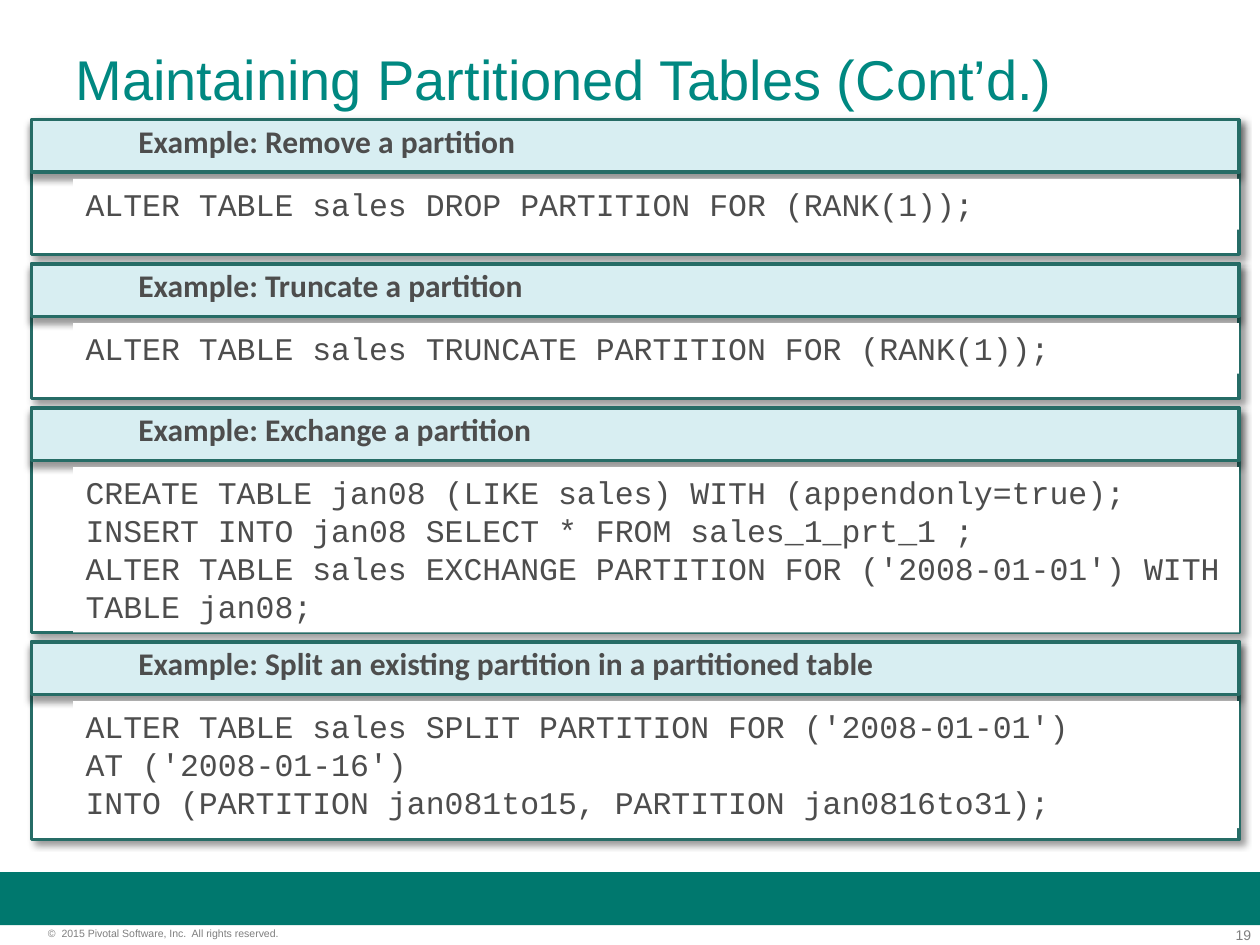
from dataclasses import dataclass

from lxml.etree import SubElement
from pptx import Presentation
from pptx.dml.color import RGBColor
from pptx.enum.shapes import MSO_SHAPE as Shape
from pptx.enum.text import MSO_ANCHOR as Anchor, MSO_AUTO_SIZE as AutoSize, PP_ALIGN as Align
from pptx.oxml.ns import qn
from pptx.util import Pt

WHITE = RGBColor(0xFF, 0xFF, 0xFF)
BAND = RGBColor(0x00, 0x78, 0x6E)
TEAL = RGBColor(0x00, 0x88, 0x81)
BORDER = RGBColor(0x26, 0x6C, 0x66)
HEADER_FILL = RGBColor(0xD8, 0xEE, 0xF2)
DARK_GREY = RGBColor(0x4D, 0x4D, 0x4D)
FOOTER_GREY = RGBColor(0x7F, 0x7F, 0x7F)

LEFT, WIDTH = 18, 690
HEADER_HEIGHT = 30
FIRST_TOP, GAP = 68.4, 5.4
CODE_LEFT, CODE_OFFSET = 41.8, 33.8
LINE_HEIGHT, CODE_PADDING = 21.8, 7.2


@dataclass
class Example:
    heading: str
    heading_width: float
    code: str
    shown_lines: int
    height: float


EXAMPLES = [
    Example("Example: Remove a partition", 232,
            "ALTER TABLE sales DROP PARTITION FOR (RANK(1));", 1, 77),
    Example("Example: Truncate a partition", 236,
            "ALTER TABLE sales TRUNCATE PARTITION FOR (RANK(1));", 1, 77),
    Example("Example: Exchange a partition", 241,
            "CREATE TABLE jan08 (LIKE sales) WITH (appendonly=true);\n"
            "INSERT INTO jan08 SELECT * FROM sales_1_prt_1 ;\n"
            "ALTER TABLE sales EXCHANGE PARTITION FOR ('2008-01-01') WITH TABLE jan08;",
            4, 128.2),
    Example("Example: Split an existing partition in a partitioned table", 440,
            "ALTER TABLE sales SPLIT PARTITION FOR ('2008-01-01')\n"
            "AT ('2008-01-16')\n"
            "INTO (PARTITION jan081to15, PARTITION jan0816to31);", 3, 113),
]


def write(box, text: str, *, size: float, font: str, color: RGBColor, bold: bool = False,
          align=Align.LEFT, wrap: bool = True, inset: bool = True) -> None:
    frame = box.text_frame
    frame.text = text
    frame.word_wrap = wrap
    frame.auto_size = AutoSize.NONE
    frame.vertical_anchor = Anchor.TOP
    if not inset:
        frame.margin_left = frame.margin_right = frame.margin_top = frame.margin_bottom = 0
    for para in frame.paragraphs:
        para.alignment = align
        for span in para.runs:
            span.font.size = Pt(size)
            span.font.name = font
            span.font.bold = bold
            span.font.color.rgb = color


def add_shadow(box, degrees: int) -> None:
    effects = box._element.spPr.find(qn("a:effectLst"))
    shadow = SubElement(effects, qn("a:outerShdw"), blurRad=str(Pt(4)), dist=str(Pt(3)),
                        dir=str(degrees * 60000), algn="tl", rotWithShape="0")
    color = SubElement(shadow, qn("a:srgbClr"), val="000000")
    SubElement(color, qn("a:alpha"), val="40000")


def add_rectangle(shapes, left: float, top: float, width: float, height: float,
                  fill: RGBColor, shadow_degrees: int | None = None):
    """Plain rectangle; with a shadow angle it also gets the teal border."""
    box = shapes.add_shape(Shape.RECTANGLE, Pt(left), Pt(top), Pt(width), Pt(height))
    box.shadow.inherit = False
    box.fill.solid()
    box.fill.fore_color.rgb = fill
    if shadow_degrees is None:
        box.line.fill.background()
    else:
        box.line.color.rgb = BORDER
        box.line.width = Pt(2)
        add_shadow(box, shadow_degrees)
    return box


def add_text(shapes, left: float, top: float, width: float, height: float, text: str,
             **style) -> None:
    write(shapes.add_textbox(Pt(left), Pt(top), Pt(width), Pt(height)), text, **style)


def add_example(page, example: Example, top: float) -> None:
    shapes = page.shapes.add_group_shape().shapes
    add_rectangle(shapes, LEFT, top, WIDTH, example.height, WHITE, 45)
    add_rectangle(shapes, LEFT, top, WIDTH, HEADER_HEIGHT, HEADER_FILL, 90)
    add_text(shapes, 72, top - 2.2, example.heading_width, 29, example.heading,
             size=18, font="Calibri", color=DARK_GREY, bold=True, wrap=False)
    code_height = CODE_PADDING + LINE_HEIGHT * example.shown_lines
    code_box = add_rectangle(shapes, CODE_LEFT, top + CODE_OFFSET,
                             LEFT + WIDTH - CODE_LEFT, code_height, WHITE)
    write(code_box, example.code, size=18, font="Courier New", color=DARK_GREY)


def main() -> None:
    deck = Presentation()
    deck.slide_width, deck.slide_height = Pt(720), Pt(540)
    page = deck.slides.add_slide(deck.slide_layouts[5])

    # Footer band, page number and copyright line
    add_rectangle(page.shapes, 0, 498.3, 720, 30.3, BAND)
    add_text(page.shapes, 673.2, 529.2, 41.8, 9.4, "19", size=8, font="Arial",
             color=FOOTER_GREY, align=Align.RIGHT, inset=False)
    add_text(page.shapes, 27.4, 529.9, 179.3, 7.2,
             "©  2015 Pivotal Software, Inc.  All rights reserved.",
             size=6, font="Arial", color=FOOTER_GREY, inset=False)

    # Title
    title = page.shapes.title
    title.left, title.top, title.width, title.height = Pt(36), Pt(21.6), Pt(648), Pt(90)
    write(title, "Maintaining Partitioned Tables (Cont’d.)", size=32, font="Arial", color=TEAL)

    # Stacked examples
    top = FIRST_TOP
    for example in EXAMPLES:
        add_example(page, example, top)
        top += example.height + GAP

    deck.save("out.pptx")


if __name__ == "__main__":
    main()
